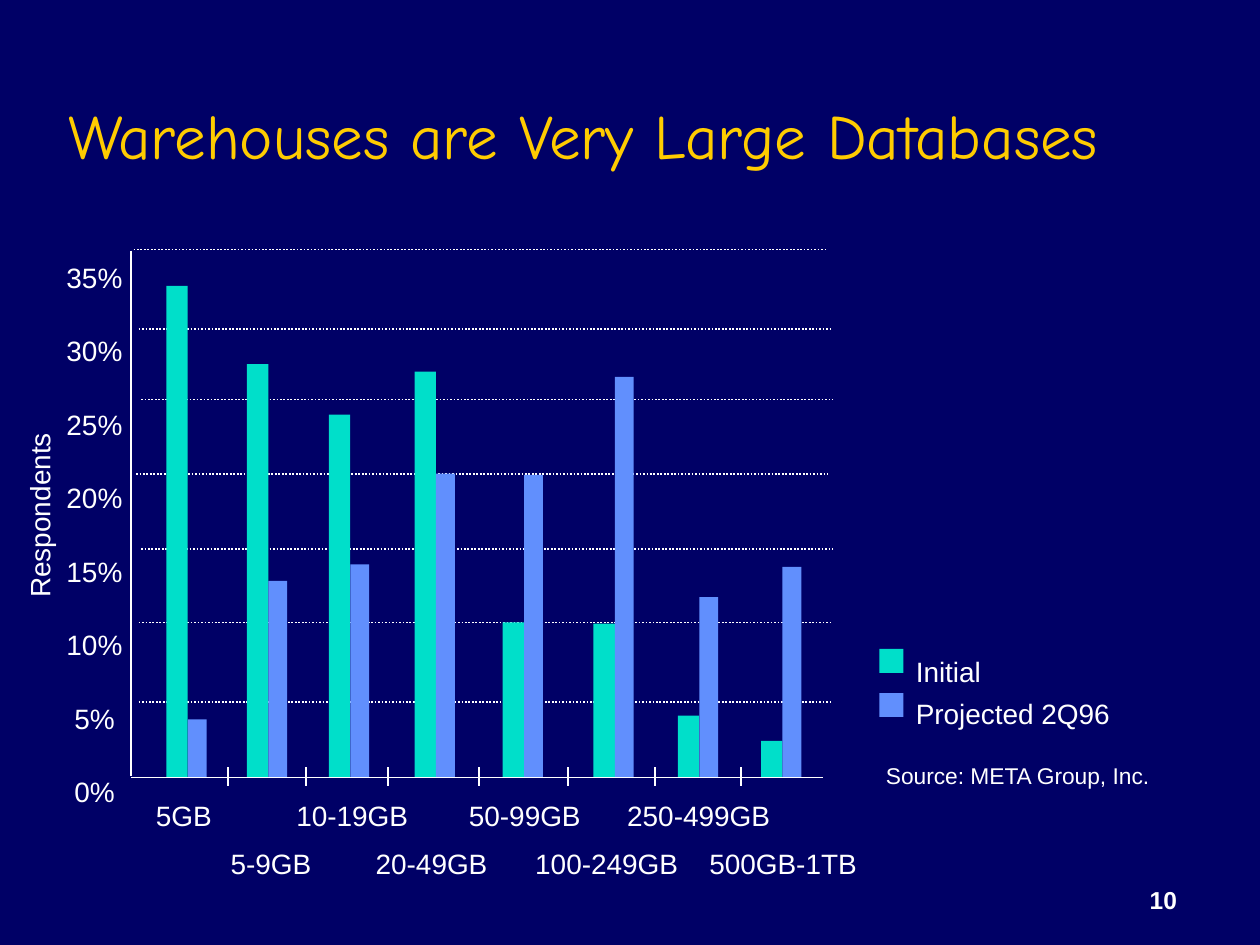
from lxml.etree import SubElement
from pptx import Presentation
from pptx.dml.color import RGBColor
from pptx.enum.dml import MSO_LINE
from pptx.enum.shapes import MSO_CONNECTOR, MSO_SHAPE
from pptx.enum.text import MSO_ANCHOR, MSO_AUTO_SIZE, PP_ALIGN
from pptx.oxml.ns import qn
from pptx.util import Inches, Pt

NAVY = RGBColor(0x00, 0x00, 0x66)
GOLD = RGBColor(0xFF, 0xCC, 0x00)
WHITE = RGBColor(0xFF, 0xFF, 0xFF)
TEAL = RGBColor(0x00, 0xDF, 0xCA)
BLUE = RGBColor(0x61, 0x8F, 0xFD)

deck = Presentation()
deck.slide_width, deck.slide_height = Inches(10), Inches(7.5)
page = deck.slides.add_slide(deck.slide_layouts[5])
page.background.fill.solid()
page.background.fill.fore_color.rgb = NAVY


def write(box, lines, font, align=PP_ALIGN.CENTER, spacing=None, anchor=MSO_ANCHOR.TOP, wrap=False):
    frame = box.text_frame
    frame.auto_size = MSO_AUTO_SIZE.NONE
    frame.word_wrap = wrap
    frame.vertical_anchor = anchor
    frame.text = "\n".join(lines)
    for para in frame.paragraphs:
        para.alignment = align
        para.line_spacing = spacing
        for name, value in font.items():
            setattr(para.font, name, value)
        para.font.color.rgb = GOLD if font is TITLE_FONT else WHITE


def draw_line(x1, y1, x2, y2, dash=None):
    line = page.shapes.add_connector(
        MSO_CONNECTOR.STRAIGHT, Inches(x1), Inches(y1), Inches(x2), Inches(y2))
    line.line.color.rgb = WHITE
    line.line.width = Pt(1)
    line.line.dash_style = dash
    SubElement(line._element.spPr, qn("a:effectLst"))


TITLE_FONT = {"name": "Comic Neue", "size": Pt(36)}
LABEL_FONT = {"name": "Arial", "size": Pt(16)}
SOURCE_FONT = {"name": "Arial", "size": Pt(13)}
NUMBER_FONT = {"name": "Arial", "size": Pt(14), "bold": True}

title = page.shapes.title
title.left, title.top, title.width, title.height = map(Inches, (0.44, 0.25, 8.5, 1.17))
write(title, ["Warehouses are Very Large Databases"], TITLE_FONT,
      PP_ALIGN.LEFT, anchor=MSO_ANCHOR.BOTTOM, wrap=True)

axis_left, axis_bottom = 1.04, 6.17
draw_line(axis_left, 1.99, axis_left, 6.16)
gridlines = [(1.06, 1.98), (1.1, 2.61), (1.12, 3.17), (1.08, 3.76),
             (1.12, 4.36), (1.1, 4.94), (1.1, 5.57)]
for left, top in gridlines:
    draw_line(left, top, left + 5.49, top, MSO_LINE.ROUND_DOT)

initial_width, projected_width = 0.17, 0.15
bar_pairs = [(1.32, 2.27, 5.71), (1.96, 2.89, 4.61), (2.61, 3.29, 4.48), (3.29, 2.95, 3.76),
             (3.99, 4.94, 3.77), (4.71, 4.95, 2.99), (5.38, 5.68, 4.74), (6.04, 5.88, 4.5)]
blocks = []
for left, initial_top, projected_top in bar_pairs:
    blocks.append((left, initial_top, initial_width, axis_bottom - initial_top, TEAL))
    blocks.append((left + initial_width, projected_top, projected_width,
                   axis_bottom - projected_top, BLUE))
legend_keys = [(6.98, 5.15, 0.19, 0.19, TEAL), (6.98, 5.5, 0.19, 0.19, BLUE)]
for *place, color in blocks + legend_keys:
    block = page.shapes.add_shape(MSO_SHAPE.RECTANGLE, *map(Inches, place))
    block.shadow.inherit = False
    block.fill.solid()
    block.fill.fore_color.rgb = color
    block.line.fill.background()

draw_line(axis_left, axis_bottom, 6.53, axis_bottom)
for tick in (1.81, 2.43, 3.08, 3.8, 4.51, 5.2, 5.88):
    draw_line(tick, 6.09, tick, 6.24)

percents = [f"{percent}%" for percent in range(35, -1, -5)]
scale = page.shapes.add_textbox(*map(Inches, (0.43, 1.7, 0.64, 4.76)))
write(scale, percents, LABEL_FONT, spacing=Pt(42))

categories = [("5GB", 1.14, 0.64), ("5-9GB", 1.73, 0.84), ("10-19GB", 2.25, 1.09),
              ("20-49GB", 2.88, 1.09), ("50-99GB", 3.62, 1.09), ("100-249GB", 4.15, 1.33),
              ("250-499GB", 4.88, 1.33), ("500GB-1TB", 5.53, 1.37)]
for index, (name, left, width) in enumerate(categories):
    top = 6.67 if index % 2 else 6.29
    label = page.shapes.add_textbox(*map(Inches, (left, top, width, 0.36)))
    write(label, [name], LABEL_FONT)

legend = page.shapes.add_textbox(*map(Inches, (7.17, 5.08, 1.74, 0.76)))
write(legend, ["Initial", "Projected 2Q96"], LABEL_FONT, PP_ALIGN.LEFT, Pt(24))

source = page.shapes.add_textbox(*map(Inches, (6.92, 6, 2.31, 0.31)))
write(source, ["Source: META Group, Inc."], SOURCE_FONT)

axis_title = page.shapes.add_textbox(*map(Inches, (-0.44, 3.91, 1.5, 0.36)))
axis_title.rotation = 270
write(axis_title, ["Respondents"], LABEL_FONT)

number = page.shapes.add_textbox(*map(Inches, (7.36, 6.81, 2.08, 0.5)))
write(number, ["10"], NUMBER_FONT, PP_ALIGN.RIGHT, anchor=MSO_ANCHOR.BOTTOM, wrap=True)

deck.save("out.pptx")
